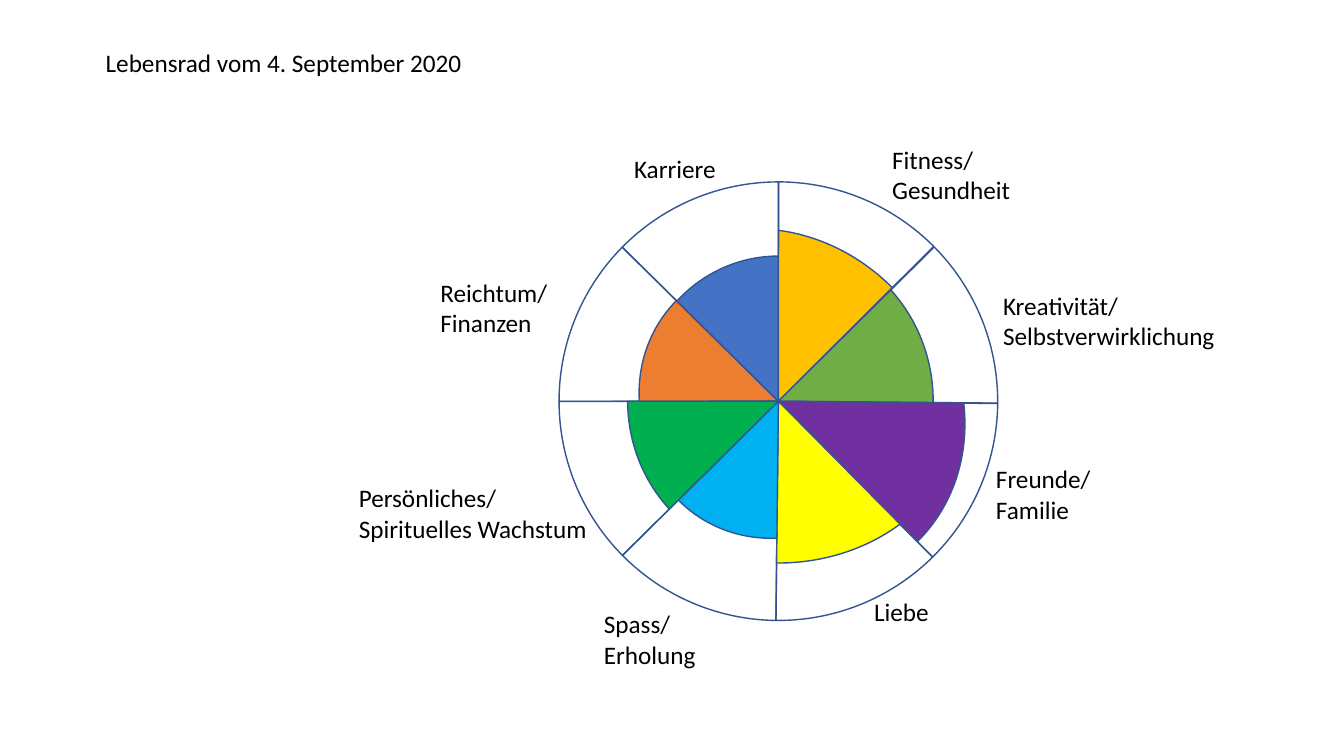
from pptx import Presentation
from pptx.dml.color import RGBColor
from pptx.enum.shapes import MSO_SHAPE
from pptx.enum.text import MSO_AUTO_SIZE
from pptx.util import Inches, Pt

THEME = {
    "font": "Calibri", "size": 18, "text": "000000", "outline": "325491", "line": 1,
    "wealth": "ED7D31", "career": "4472C4", "fitness": "FFC000", "creativity": "70AD47",
    "friends": "7030A0", "love": "FFFF00", "fun": "00B0F0", "growth": "00B050",
}
HUB = (7.72, 3.98)
WHEEL = (4.35, 4.35)
LINE_HEIGHTS = {1: 0.4, 2: 0.71}

TITLE = ("Lebensrad vom 4. September 2020", 0.95, 0.42, 3.77)
AREAS = [
    ("wealth", 314.6, 135.184, 162, (2.68, 2.84), ("Reichtum/\nFinanzen", 4.27, 2.7, 1.27)),
    ("career", 0, 134.777, 162, (2.78, 2.88), ("Karriere", 6.19, 1.47, 1.02)),
    ("fitness", 45.1, 134.988, 162, (3.63, 3.19), ("Fitness/\nGesundheit", 8.75, 1.38, 1.39)),
    ("creativity", 90, 135.184, 162.294, (3.21, 3.07),
     ("Kreativität/\nSelbstverwirklichung", 9.85, 2.83, 2.32)),
    ("friends", 135.3, 135.184, 162, (3.47, 3.92), ("Freunde/\nFamilie", 9.78, 4.55, 1.15)),
    ("love", 180, 135.184, 162.392, (3.71, 3.21), ("Liebe", 8.57, 5.87, 0.75)),
    ("fun", 225.3, 135.184, 162, (2.65, 2.79), ("Spass/\nErholung", 5.89, 5.99, 1.12)),
    ("growth", 270, 135.184, 162, (3.1, 2.99),
     ("Persönliches/\nSpirituelles Wachstum", 3.46, 4.74, 2.49)),
]


def add_sector(page, size, rotation, start, end, color=None):
    width, height = size
    sector = page.shapes.add_shape(
        MSO_SHAPE.PIE, Inches(HUB[0] - width / 2), Inches(HUB[1] - height / 2),
        Inches(width), Inches(height))
    sector.adjustments[0] = start
    sector.adjustments[1] = end
    sector.rotation = rotation
    sector.shadow.inherit = False
    sector.line.color.rgb = RGBColor.from_string(THEME["outline"])
    sector.line.width = Pt(THEME["line"])
    if color:
        sector.fill.solid()
        sector.fill.fore_color.rgb = RGBColor.from_string(color)
    else:
        sector.fill.background()


def add_label(page, text, left, top, width):
    height = LINE_HEIGHTS[len(text.split("\n"))]
    box = page.shapes.add_textbox(Inches(left), Inches(top), Inches(width), Inches(height))
    frame = box.text_frame
    frame.text = text
    frame.word_wrap = False
    frame.auto_size = MSO_AUTO_SIZE.SHAPE_TO_FIT_TEXT
    for para in frame.paragraphs:
        for span in para.runs:
            span.font.name = THEME["font"]
            span.font.size = Pt(THEME["size"])
            span.font.color.rgb = RGBColor.from_string(THEME["text"])


def main():
    deck = Presentation()
    deck.slide_width = Inches(13.33)
    deck.slide_height = Inches(7.5)
    page = deck.slides.add_slide(deck.slide_layouts[6])
    for name, rotation, start, end, size, label in AREAS:
        add_sector(page, WHEEL, rotation, start, end)
    for name, rotation, start, end, size, label in AREAS:
        add_sector(page, size, rotation, start, end, THEME[name])
    for area in AREAS:
        add_label(page, *area[-1])
    add_label(page, *TITLE)
    deck.save("out.pptx")


if __name__ == "__main__":
    main()
